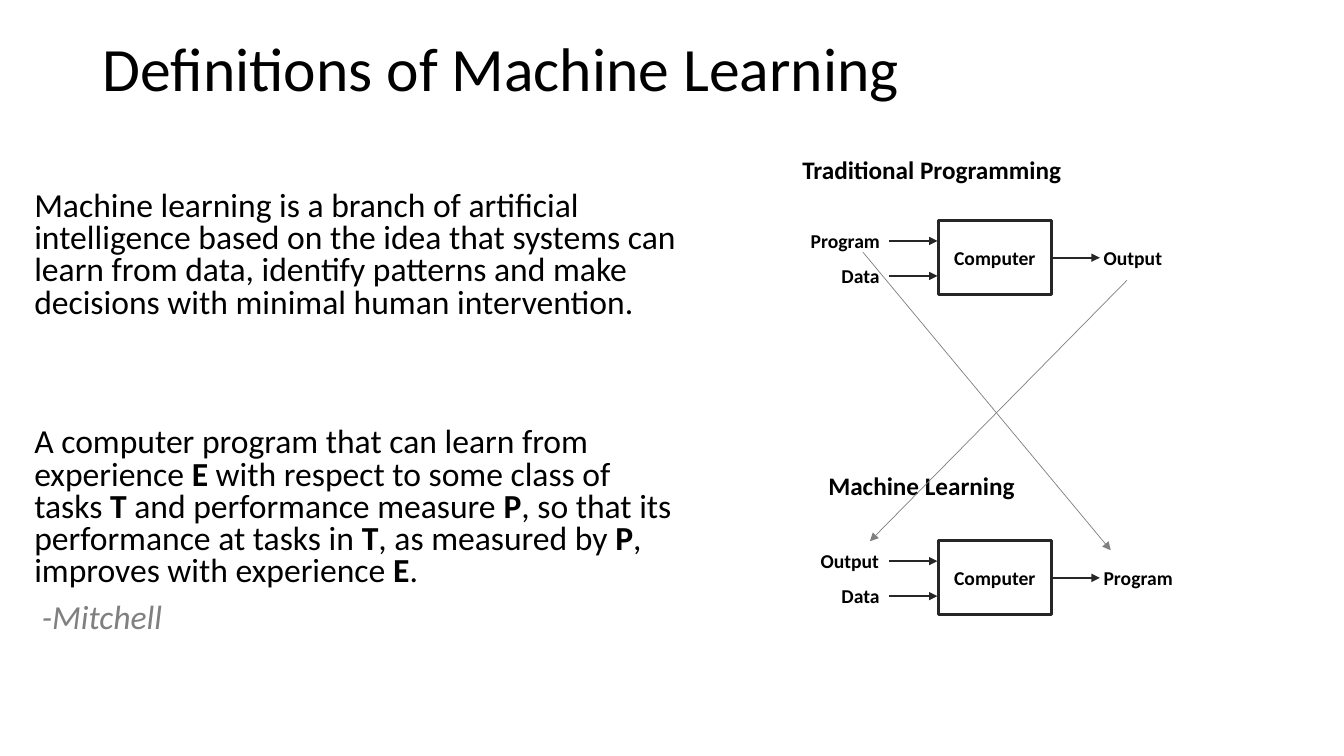
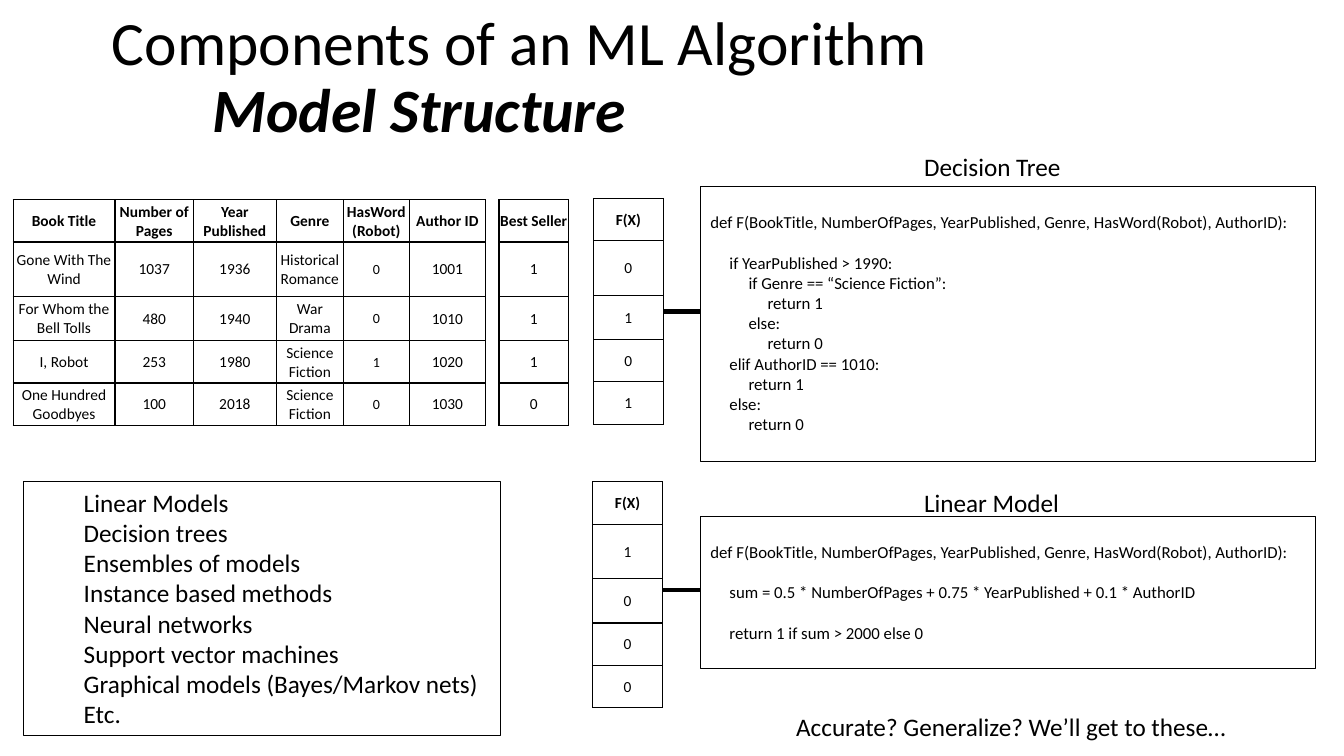
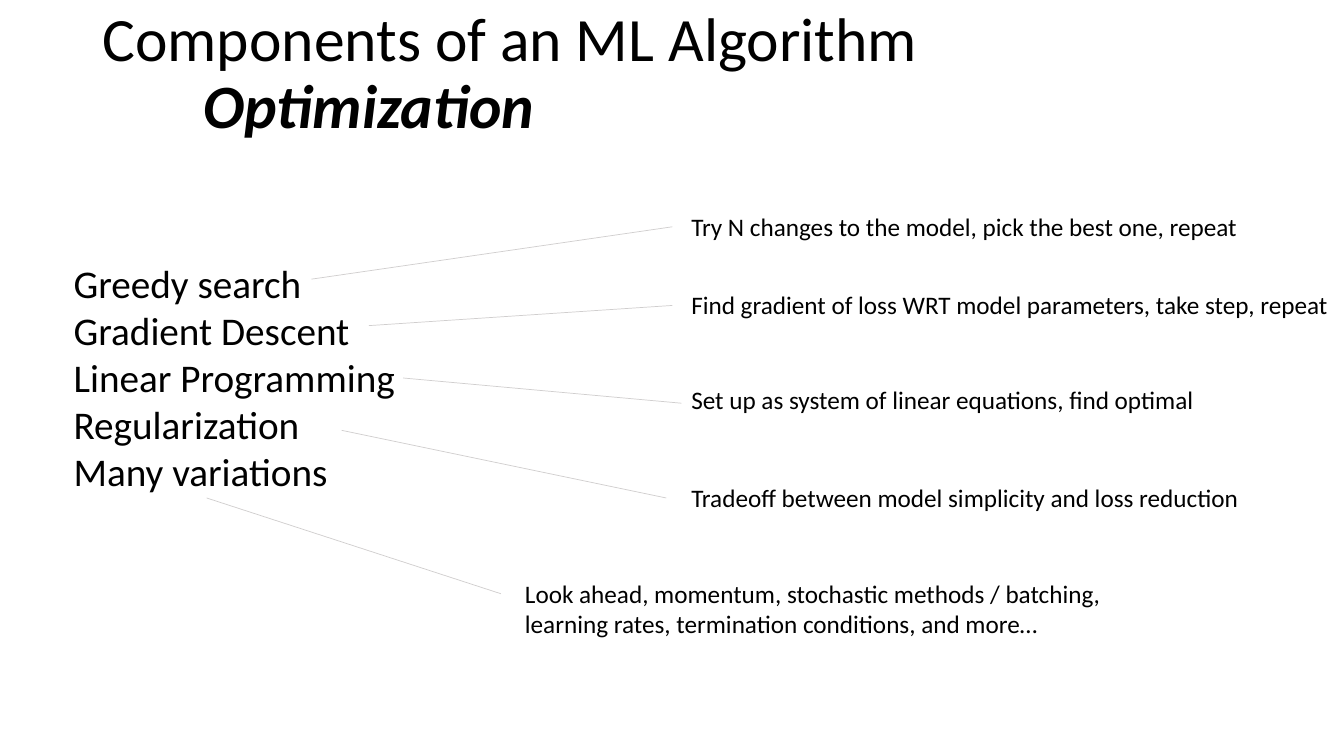
from dataclasses import dataclass
from typing import Any, NamedTuple

from lxml import etree
from pptx import Presentation, util as u
from pptx.dml import color
from pptx.enum import shapes, text
from pptx.oxml import ns

Pt = u.Pt
LEFT, CENTER = text.PP_ALIGN.LEFT, text.PP_ALIGN.CENTER
TOP, MIDDLE = text.MSO_ANCHOR.TOP, text.MSO_ANCHOR.MIDDLE


@dataclass(frozen=True)
class Theme:
    font: str = "Calibri"
    ink: str = "000000"
    frame: str = "262626"
    grey: str = "808080"
    pale: str = "D0CECE"
    title: float = 44
    list: float = 28
    body: float = 24
    note: float = 18
    label: float = 14
    code: float = 12
    cell: float = 11
    small_cell: float = 10
    line_height: float = 14.6  # one line of code
    code_indent: float = 13.6  # one level of code
    list_indent: float = 36


THEME = Theme()


class Box(NamedTuple):
    left: float
    top: float
    width: float
    height: float


class Point(NamedTuple):
    x: float
    y: float


class CodeLine(NamedTuple):
    level: int
    content: str
    gap: bool = False


@dataclass
class Flow:
    heading: str
    heading_box: Box
    top: float
    inputs: tuple[str, str]
    output: str


@dataclass
class Model:
    name: str
    name_top: float
    box: Box
    code: list[CodeLine]
    table_at: Point
    predictions: list[str]
    link_y: float


@dataclass
class Note:
    content: str
    box: Box
    start: Point
    end: Point
    wrap: bool = False


# ---- Helpers ----
def assign(target: Any, values: dict[str, Any]) -> None:
    for name, value in values.items():
        setattr(target, name, value)


def lengths(box: Box) -> list[int]:
    return [Pt(v) for v in box]


def write(p: Any, content: str, size: float, ink: str = THEME.ink, bold: bool = False,
          italic: bool = False, indent: float = 0, **spacing: Any) -> None:
    """Fill one paragraph; text between bars is bold."""
    assign(p, {"alignment": LEFT, "space_before": Pt(0), **spacing})
    pPr = p._p.get_or_add_pPr()
    pPr.set("marL", str(Pt(indent)))
    pPr.set("indent", "0")
    etree.SubElement(pPr, ns.qn("a:buNone"))
    for i, part in enumerate(content.split("|")):
        r = p.add_run()
        r.text = part
        assign(r.font, {"name": THEME.font, "size": Pt(size),
                        "bold": bold or i % 2 == 1, "italic": italic})
        r.font.color.rgb = color.RGBColor.from_string(ink)


def frame(sp: Any, **values: Any) -> Any:
    tf = sp.text_frame
    assign(tf, {"word_wrap": True, "auto_size": text.MSO_AUTO_SIZE.NONE,
                "vertical_anchor": TOP, **values})
    return tf


def paragraphs(tf: Any, count: int) -> list[Any]:
    return [tf.paragraphs[0]] + [tf.add_paragraph() for _ in range(count - 1)]


def place(sp: Any, box: Box) -> None:
    assign(sp, dict(zip(("left", "top", "width", "height"), lengths(box))))


def outline(sp: Any, ink: str, width: float) -> None:
    sp.line.color.rgb = color.RGBColor.from_string(ink)
    sp.line.width = Pt(width)


def add_slide(prs: Any, box: Box, title: str, subtitle: str = "") -> Any:
    s = prs.slides.add_slide(prs.slide_layouts[1])
    place(s.shapes.title, box)
    tf = frame(s.shapes.title, vertical_anchor=MIDDLE)
    ps = paragraphs(tf, 2 if subtitle else 1)
    write(ps[0], title, THEME.title, line_spacing=0.9)
    if subtitle:
        write(ps[1], subtitle, THEME.title, bold=True, italic=True, indent=72, line_spacing=0.9)
    return s


def fill_list(s: Any, box: Box, items: list[str], size: float) -> Any:
    sp = s.placeholders[1]
    place(sp, box)
    for p, item in zip(paragraphs(frame(sp), len(items)), items):
        write(p, item, size, indent=THEME.list_indent)
    return sp


def add_text(s: Any, box: Box, content: str, size: float = THEME.note,
             bold: bool = False, wrap: bool = False) -> None:
    sp = s.shapes.add_textbox(*lengths(box))
    write(frame(sp, word_wrap=wrap).paragraphs[0], content, size, bold=bold)


def add_rect(s: Any, box: Box, ink: str, width: float) -> Any:
    sp = s.shapes.add_shape(shapes.MSO_SHAPE.RECTANGLE, *lengths(box))
    sp.shadow.inherit = False
    sp.fill.background()
    outline(sp, ink, width)
    return sp


def add_line(s: Any, start: Point, end: Point, ink: str, width: float,
             arrow: bool = False) -> None:
    sp = s.shapes.add_connector(shapes.MSO_CONNECTOR.STRAIGHT,
                                *(Pt(v) for v in (*start, *end)))
    outline(sp, ink, width)
    if arrow:
        etree.SubElement(sp.line._get_or_add_ln(), ns.qn("a:tailEnd"), type="triangle")
    etree.SubElement(sp._element.spPr, ns.qn("a:effectLst"))


def add_borders(cell: Any) -> None:
    tcPr = cell._tc.get_or_add_tcPr()
    for i, side in enumerate("LRTB"):
        ln = etree.Element(ns.qn(f"a:ln{side}"), w=str(Pt(1)))
        fill = etree.SubElement(ln, ns.qn("a:solidFill"))
        etree.SubElement(fill, ns.qn("a:srgbClr"), val=THEME.ink)
        tcPr.insert(i, ln)


ROW_HEIGHTS = (30.2, 38.9, 31.7, 30.2, 30.2)


def add_grid(s: Any, at: Point, widths: list[float], rows: list[list[str]],
             small_column: int = -1) -> None:
    box = Box(*at, sum(widths), sum(ROW_HEIGHTS))
    table = s.shapes.add_table(len(rows), len(widths), *lengths(box)).table
    for column, width in zip(table.columns, widths):
        column.width = Pt(width)
    for i, (row, height) in enumerate(zip(rows, ROW_HEIGHTS)):
        table.rows[i].height = Pt(height)
        for j, content in enumerate(row):
            cell = table.cell(i, j)
            assign(cell, {"margin_left": Pt(0.72), "margin_right": Pt(0.72),
                          "margin_top": Pt(0.72), "margin_bottom": Pt(0),
                          "vertical_anchor": MIDDLE})
            cell.fill.background()
            add_borders(cell)
            size = THEME.small_cell if i and j == small_column else THEME.cell
            write(cell.text_frame.paragraphs[0], content, size, bold=i == 0, alignment=CENTER)


# ---- Slide 1: definitions ----
LABEL_WIDTHS = {"Program": 64, "Data": 42, "Output": 57}
FLOWS = [
    Flow("Traditional Programming", Box(566, 106.6, 201, 28.8), 157.7,
         ("Program", "Data"), "Output"),
    Flow("Machine Learning", Box(584.6, 332.6, 149, 28.8), 386.4,
         ("Output", "Data"), "Program"),
]


def add_flow(s: Any, flow: Flow) -> None:
    add_text(s, flow.heading_box, flow.heading, bold=True)
    computer = add_rect(s, Box(670.3, flow.top, 80.6, 52.6), THEME.frame, 2.25)
    tf = frame(computer, vertical_anchor=MIDDLE, word_wrap=False)
    write(tf.paragraphs[0], "Computer", THEME.label, bold=True, alignment=CENTER)

    def step(label: str, label_x: float, arrow_x: float, y: float) -> None:
        add_text(s, Box(label_x, y - 12, LABEL_WIDTHS[label], 24.5), label, THEME.label, bold=True)
        add_line(s, Point(arrow_x, y), Point(arrow_x + 34.6, y), THEME.frame, 1.5, arrow=True)

    for label, offset in zip(flow.inputs, (14.4, 39.4)):
        step(label, 636 - LABEL_WIDTHS[label], 635, flow.top + offset)
    step(flow.output, 781.2, 751, flow.top + 26.4)


def definitions_slide(prs: Any) -> None:
    s = add_slide(prs, Box(66, 18, 828, 66), "Definitions of Machine Learning")
    body = s.placeholders[1]
    place(body, Box(17.3, 133.2, 476, 342.7))
    ps = paragraphs(frame(body), 3)
    tight = {"line_spacing": 0.8, "space_before": Pt(10)}
    write(ps[0], "Machine learning is a branch of artificial intelligence based on the idea "
          "that systems can learn from data, identify patterns and make decisions with "
          "minimal human intervention.", THEME.body, **tight)
    write(ps[1], "A computer program that can learn from experience |E| with respect to some "
          "class of tasks |T| and performance measure |P|, so that its performance at tasks "
          "in |T|, as measured by |P|, improves with experience |E|.",
          THEME.body, **{**tight, "space_before": Pt(76.8)})
    write(ps[2], "-Mitchell", THEME.body, THEME.grey, italic=True, indent=5.4, **tight)
    for flow in FLOWS:
        add_flow(s, flow)
    # Crossing arrows: program and output swap roles
    for start, end in ((Point(616.3, 180), Point(793.4, 393.1)),
                       (Point(805, 200.2), Point(621.4, 386.6))):
        add_line(s, start, end, THEME.grey, 0.5, arrow=True)


# ---- Slide 2: model structure ----
BOOKS = [
    ["Book Title", "Number of Pages", "Year Published", "Genre", "HasWord(Robot)", "Author ID"],
    ["Gone With The Wind", "1037", "1936", "Historical Romance", "0", "1001"],
    ["For Whom the Bell Tolls", "480", "1940", "War Drama", "0", "1010"],
    ["I, Robot", "253", "1980", "Science Fiction", "1", "1020"],
    ["One Hundred Goodbyes", "100", "2018", "Science Fiction", "0", "1030"],
]
SIGNATURE = CodeLine(
    0, "def F(BookTitle, NumberOfPages, YearPublished, Genre, HasWord(Robot), AuthorID):")
MODELS = [
    Model("Decision Tree", 104.4, Box(500.4, 133.2, 439.2, 196.6), [
        SIGNATURE,
        CodeLine(1, "if YearPublished > 1990:", gap=True),
        CodeLine(2, "if Genre == “Science Fiction”:"),
        CodeLine(3, "return 1"),
        CodeLine(2, "else:"),
        CodeLine(3, "return 0"),
        CodeLine(1, "elif AuthorID == 1010:"),
        CodeLine(2, "return 1"),
        CodeLine(1, "else:"),
        CodeLine(2, "return 0"),
    ], Point(424, 141.8), ["0", "1", "0", "1"], 222.5),
    Model("Linear Model", 344.2, Box(500.4, 368.6, 439.2, 108.7), [
        SIGNATURE,
        CodeLine(1, "sum = 0.5 * NumberOfPages + 0.75 * YearPublished + 0.1 * AuthorID", gap=True),
        CodeLine(1, "return 1 if sum > 2000 else 0", gap=True),
    ], Point(423.4, 344.2), ["1", "0", "0", "0"], 421.2),
]
MODEL_KINDS = ["Linear Models", "Decision trees", "Ensembles of models",
               "Instance based methods", "Neural networks", "Support vector machines",
               "Graphical models (Bayes/Markov nets)", "Etc."]


def add_column(s: Any, at: Point, heading: str, values: list[str]) -> None:
    add_grid(s, at, [49.7], [[heading], *([v] for v in values)])


def add_model(s: Any, model: Model) -> None:
    add_text(s, Box(653, model.name_top, 113, 28.8), model.name)
    sp = add_rect(s, model.box, THEME.ink, 0.75)
    tf = frame(sp, margin_top=Pt(3.6 + THEME.line_height))
    for p, line in zip(paragraphs(tf, len(model.code)), model.code):
        write(p, line.content, THEME.code, indent=line.level * THEME.code_indent,
              space_before=Pt(THEME.line_height if line.gap else 0))
    add_column(s, model.table_at, "F(X)", model.predictions)
    add_line(s, Point(473.8, model.link_y), Point(model.box.left, model.link_y), THEME.ink, 3)


def structure_slide(prs: Any) -> None:
    s = add_slide(prs, Box(72.7, 4.3, 828, 104.4),
                  "Components of an ML Algorithm", "Model Structure")
    add_grid(s, Point(9.4, 142.6), [72.7, 56.2, 59, 48.2, 46.8, 54.7], BOOKS, small_column=4)
    add_column(s, Point(356.4, 142.6), "Best Seller", ["1", "1", "1", "0"])
    for model in MODELS:
        add_model(s, model)
    kinds = fill_list(s, Box(16.6, 344.2, 340.6, 181.4), MODEL_KINDS, THEME.note)
    outline(kinds, THEME.ink, 0.75)
    add_text(s, Box(561.6, 504.7, 325.4, 28.8), "Accurate? Generalize? We’ll get to these…")


# ---- Slide 3: optimization ----
METHODS = ["Greedy search", "Gradient Descent", "Linear Programming",
           "Regularization", "Many variations"]
NOTES = [
    Note("Try N changes to the model, pick the best one, repeat",
         Box(486.7, 147.6, 409.7, 28.8), Point(222.5, 199.4), Point(480.2, 162)),
    Note("Find gradient of loss WRT model parameters, take step, repeat",
         Box(486.7, 203, 474.5, 28.8), Point(263.5, 232.6), Point(480.2, 218.2)),
    Note("Set up as system of linear equations, find optimal",
         Box(486.7, 270.7, 385.9, 28.8), Point(288, 270), Point(486.7, 288), wrap=True),
    Note("Tradeoff between model simplicity and loss reduction",
         Box(486.7, 341.3, 424.8, 28.8), Point(244.1, 307.4), Point(475.9, 355.7), wrap=True),
    Note("Look ahead, momentum, stochastic methods / batching, learning rates, "
         "termination conditions, and more…",
         Box(367.9, 409.7, 453.6, 51.1), Point(147.6, 355.7), Point(357.8, 424.1), wrap=True),
]


def optimization_slide(prs: Any) -> None:
    s = add_slide(prs, Box(66, 1.4, 828, 104.4),
                  "Components of an ML Algorithm", "Optimization")
    fill_list(s, Box(9.4, 181.4, 343.4, 177.1), METHODS, THEME.list)
    for note in NOTES:
        add_line(s, note.start, note.end, THEME.pale, 0.5)
        add_text(s, note.box, note.content, wrap=note.wrap)


def main() -> None:
    prs = Presentation()
    assign(prs, {"slide_width": Pt(960), "slide_height": Pt(540)})
    for build in (definitions_slide, structure_slide, optimization_slide):
        build(prs)
    prs.save("out.pptx")


if __name__ == "__main__":
    main()
